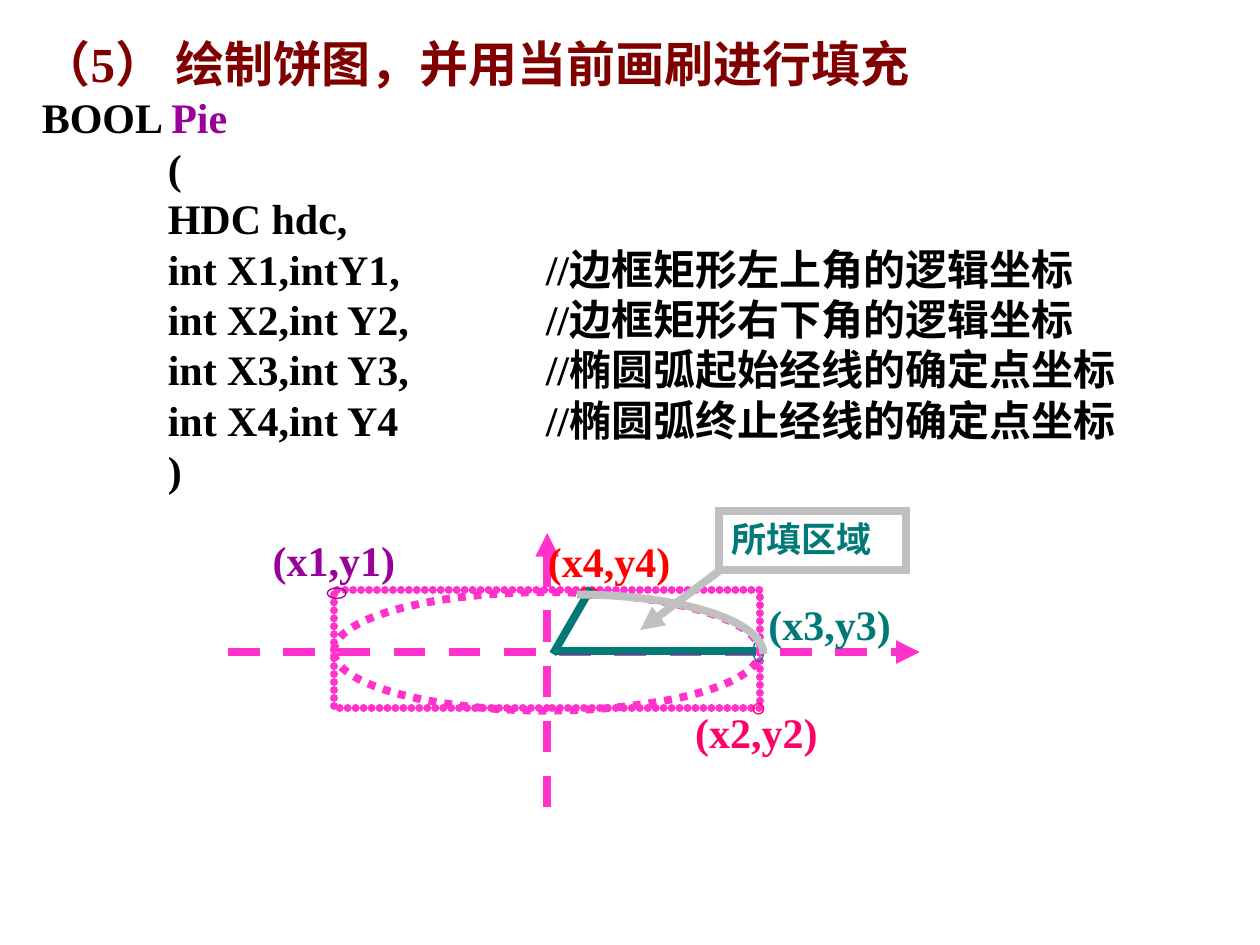
from dataclasses import dataclass

from pptx import Presentation
from pptx.dml.color import RGBColor
from pptx.enum.dml import MSO_LINE
from pptx.enum.shapes import MSO_CONNECTOR, MSO_SHAPE
from pptx.enum.text import MSO_ANCHOR, MSO_AUTO_SIZE, PP_ALIGN
from pptx.oxml.ns import qn
from pptx.util import Pt

RECT, OVAL, ARC = MSO_SHAPE.RECTANGLE, MSO_SHAPE.OVAL, MSO_SHAPE.ARC
DASH, DOT = MSO_LINE.DASH, MSO_LINE.ROUND_DOT
FONT = "Times New Roman"
BLACK, MAROON, PURPLE = "000000", "800000", "990099"
PINK, ROSE, RED = "FF33CC", "FF0066", "FF0000"
TEAL, GREY = "007A77", "C0C0C0"
INCH, THICK, THIN = 72, 4.5, 0.75


@dataclass
class Line:
    start: tuple
    end: tuple
    color: str
    dash: object = None
    arrow: str = ""


@dataclass
class Mark:
    """A named point: its small ring and its label."""
    text: str
    color: str
    ring: tuple
    place: tuple


def paint(color, value: str) -> None:
    color.rgb = RGBColor.from_string(value)


def add_node(parent, tag: str, **attrs: str):
    node = parent.makeelement(qn("a:" + tag), attrs)
    parent.append(node)
    return node


def add_run(para, text: str, size: float, color: str) -> None:
    run = para.add_run()
    run.text = text
    font = run.font
    font.name, font.size, font.bold = FONT, Pt(size), True
    paint(font.color, color)


def set_tabs(para, margin: int) -> None:
    """Indent by whole inches, with a tab stop at each inch after that."""
    props = para._p.get_or_add_pPr()
    props.set("marL", str(Pt(margin * INCH)))
    props.set("indent", "0")
    props.set("defTabSz", str(Pt(INCH)))
    tabs = add_node(props, "tabLst")
    for step in range(margin + 1, 9):
        add_node(tabs, "tab", pos=str(Pt(step * INCH)), algn="l")


def widen_tabs(root) -> None:
    """Make the default tab distance one inch in every text style."""
    for node in root.iter():
        if node.get("defTabSz"):
            node.set("defTabSz", str(Pt(INCH)))


def add_shape(shapes, kind, box: tuple, color: str, width=THICK, dash=None):
    shape = shapes.add_shape(kind, *map(Pt, box))
    shape.shadow.inherit = False
    shape.fill.background()
    paint(shape.line.color, color)
    shape.line.width = Pt(width)
    if dash:
        shape.line.dash_style = dash
    return shape


def add_line(shapes, item: Line) -> None:
    link = shapes.add_connector(
        MSO_CONNECTOR.STRAIGHT, *map(Pt, item.start + item.end))
    paint(link.line.color, item.color)
    link.line.width = Pt(THICK)
    if item.dash:
        link.line.dash_style = item.dash
    if item.arrow:
        add_node(link.line._get_or_add_ln(), item.arrow, type="triangle")
    add_node(link._element.spPr, "effectLst")


def add_mark(shapes, mark: Mark) -> None:
    add_shape(shapes, OVAL, mark.ring, mark.color, THIN)
    box = shapes.add_textbox(*map(Pt, mark.place + (84.2, 30.2)))
    frame = box.text_frame
    frame.word_wrap = False
    frame.auto_size = MSO_AUTO_SIZE.SHAPE_TO_FIT_TEXT
    para = frame.paragraphs[0]
    para.line_spacing = 0.8
    add_run(para, mark.text, 24, mark.color)


def add_code(shapes) -> None:
    box = shapes.add_textbox(Pt(16.8), Pt(15.4), Pt(673), Pt(271.5))
    frame = box.text_frame
    frame.word_wrap = True
    frame.auto_size = MSO_AUTO_SIZE.SHAPE_TO_FIT_TEXT
    title = frame.paragraphs[0]
    set_tabs(title, 0)
    add_run(title, "（5） 绘制饼图，并用当前画刷进行填充", 28, MAROON)
    head = frame.add_paragraph()
    set_tabs(head, 0)
    add_run(head, "BOOL ", 24, BLACK)
    add_run(head, "Pie", 24, PURPLE)
    for text in CODE:
        para = frame.add_paragraph()
        set_tabs(para, 1)
        add_run(para, text, 24, BLACK)


def add_frame(shapes) -> None:
    """Draw the bounding box with round dots that touch."""
    frame = add_shape(shapes, RECT, (190.8, 337, 243.4, 67.7), PINK)
    ln = frame.line._get_or_add_ln()
    ln.set("cap", "rnd")
    add_node(add_node(ln, "custDash"), "ds", d="100000", sp="1000")


def add_note(shapes) -> None:
    note = add_shape(shapes, RECT, (411.1, 292.1, 106.6, 33.8), GREY)
    add_node(note.line._get_or_add_ln(), "miter", lim="800000")
    frame = note.text_frame
    frame.word_wrap = True
    frame.vertical_anchor = MSO_ANCHOR.TOP
    para = frame.paragraphs[0]
    para.alignment = PP_ALIGN.JUSTIFY
    add_run(para, "所填区域", 20, TEAL)


CODE = [
    "(",
    "HDC hdc,",
    "int X1,intY1,\t\t//边框矩形左上角的逻辑坐标",
    "int X2,int Y2,\t\t//边框矩形右下角的逻辑坐标",
    "int X3,int Y3,\t\t//椭圆弧起始经线的确定点坐标",
    "int X4,int Y4\t\t//椭圆弧终止经线的确定点坐标",
    ")",
]
AXES = [
    Line((130.3, 372.6), (525.6, 372.6), PINK, DASH, "tailEnd"),
    Line((312.7, 304.6), (312.7, 473.8), PINK, DASH, "headEnd"),
]
MARKS = [
    Mark("(x1,y1)", PURPLE, (187, 336, 10.8, 6), (148.8, 307.4)),
    Mark("(x2,y2)", ROSE, (430.4, 402, 6, 6), (390.2, 405.7)),
    Mark("(x3,y3)", TEAL, (430.4, 366, 6, 12), (432, 344.2)),
    Mark("(x4,y4)", RED, (331.2, 336, 10.8, 6), (306, 308.2)),
]


def main() -> None:
    deck = Presentation()
    deck.slide_width, deck.slide_height = Pt(720), Pt(540)
    widen_tabs(deck.element)
    widen_tabs(deck.slide_master.element)
    shapes = deck.slides.add_slide(deck.slide_layouts[6]).shapes
    add_code(shapes)
    add_frame(shapes)
    add_shape(shapes, OVAL, (190.8, 338.4, 243.4, 67.7), PINK, dash=DOT)
    for axis in AXES:
        add_line(shapes, axis)
    for mark in MARKS:
        add_mark(shapes, mark)
    add_line(shapes, Line((316, 373.7), (337.7, 336.2), TEAL))
    add_shape(shapes, ARC, (223.2, 339.8, 213.1, 67.7), GREY)
    add_line(shapes, Line((411.1, 326.2), (365.8, 360), GREY, arrow="tailEnd"))
    add_note(shapes)
    add_line(shapes, Line((317.5, 372.2), (432, 372.2), TEAL))
    deck.save("out.pptx")


if __name__ == "__main__":
    main()
